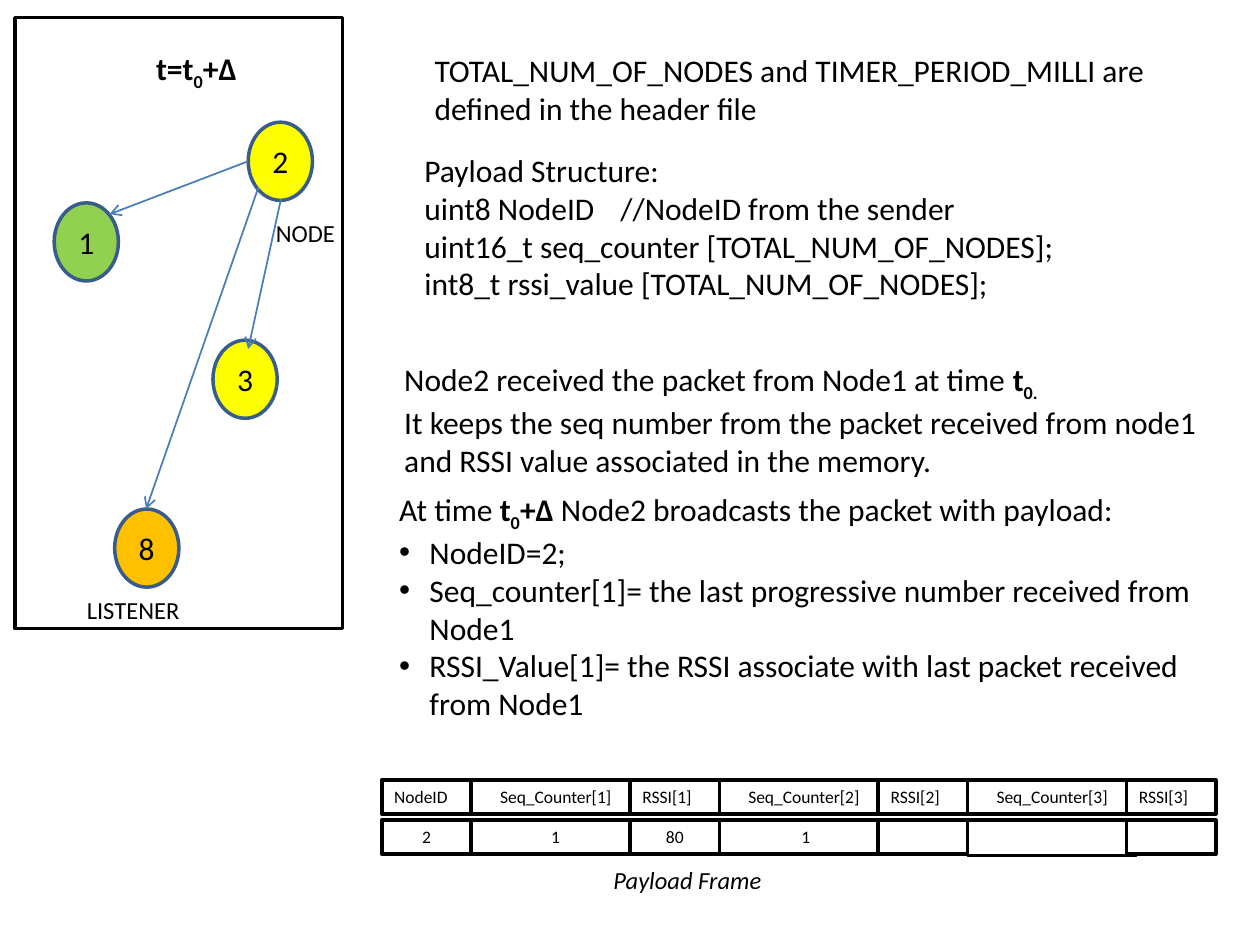
import pptx
import pptx.util
import pptx.dml.color
import pptx.enum.shapes
import pptx.enum.text
import pptx.oxml.ns
import lxml.etree

THEME = {
    "font": "Calibri", "body": 18, "label": 14, "cell": 10,
    "ink": "000000", "paper": "FFFFFF", "rim": "385D8A", "arrow": "4A7EBB",
    "green": "92D050", "yellow": "FFFF00", "orange": "FFC000",
    "outline": 2, "thin": 1,
}

# Content: places are (column, row, columns, rows) on a grid of 100 by 75
COLUMNS, ROWS = 100, 75
BOLD = {"bold": True}
SUB = {"bold": True, "sub": True}
DELAY = [("0", SUB), ("+Δ", BOLD)]

NOTES = [
    ((33.5, 3.6, 66.5, 7), [
        "TOTAL_NUM_OF_NODES and TIMER_PERIOD_MILLI are defined in the header file"]),
    ((32.7, 11.5, 65.4, 16), [
        "Payload Structure:",
        "uint8 NodeID\t //NodeID from the sender",
        "uint16_t seq_counter [TOTAL_NUM_OF_NODES];",
        "int8_t rssi_value [TOTAL_NUM_OF_NODES];"]),
    ((31.1, 28.1, 68.9, 10.4), [
        [("Node2 received the packet from Node1 at time ", {}), ("t", BOLD), ("0.", SUB)],
        "It keeps the seq number from the packet received from node1 "
        "and RSSI value associated in the memory."]),
    ((30.7, 38.4, 68.9, 19.4), [
        [("At time ", {}), ("t", BOLD), *DELAY,
         (" Node2 broadcasts the packet with payload:", {})],
        "• NodeID=2;",
        "• Seq_counter[1]= the last progressive number received from Node1",
        "• RSSI_Value[1]= the RSSI associate with last packet received from Node1"]),
]

PANEL = (1.2, 1.4, 26, 48.5)
PANEL_TITLE = ((11.4, 3.4, 8.9, 4.4), [[("t=t", BOLD), *DELAY]])
NODE_SIZE = (5.1, 6.2)
NODES = [("1", 4.3, 16.1, "green"), ("2", 19.7, 9.7, "yellow"),
         ("3", 16.9, 27, "yellow"), ("8", 9.1, 40.4, "orange")]
ARROWS = [((19.7, 12.8), (8.7, 17)), ((22.3, 15.8), (19.7, 27.7)),
          ((20.5, 14.9), (11.6, 40.4))]
LABELS = [((5.9, 46.7, 9.5, 3.4), "LISTENER", {}),
          ((20.9, 16.8, 7.1, 3.4), "NODE", {}),
          ((47.7, 68.2, 13.8, 3.4), "Payload Frame", {"italic": True, "wrap": False})]

FRAME_LEFT, FRAME_TOP, FRAME_STEP, FRAME_HEIGHT = 30.3, 61.9, 3.2, 2.7
NARROW, WIDE, OVERLAP = 7.1, 13.4, 0.8
FRAME = [
    ["NodeID", "Seq_Counter[1]", "RSSI[1]", "Seq_Counter[2]", "RSSI[2]",
     "Seq_Counter[3]", "RSSI[3]"],
    ["2", "1", "80", " 1", "", "", ""],
]

deck = pptx.Presentation()
deck.slide_width, deck.slide_height = pptx.util.Inches(10), pptx.util.Inches(7.5)
page = deck.slides.add_slide(deck.slide_layouts[6])


def across(columns):
    return round(deck.slide_width * columns / COLUMNS)


def down(rows):
    return round(deck.slide_height * rows / ROWS)


def area(place):
    left, top, width, height = place
    return across(left), down(top), across(width), down(height)


def color(name):
    return pptx.dml.color.RGBColor.from_string(THEME[name])


def add_bullet(para):
    properties = para._p.get_or_add_pPr()
    indent = pptx.util.Inches(0.24)
    properties.set("marL", str(indent))
    properties.set("indent", str(-indent))
    for tag, attribute, value in (("a:buFont", "typeface", "Arial"),
                                  ("a:buChar", "char", "•")):
        lxml.etree.SubElement(properties, pptx.oxml.ns.qn(tag)).set(attribute, value)


def write(box, paragraphs, size="body", align="LEFT", anchor="TOP",
          italic=False, wrap=True, grow=True):
    frame = box.text_frame
    frame.word_wrap = wrap
    frame.vertical_anchor = getattr(pptx.enum.text.MSO_ANCHOR, anchor)
    sizing = pptx.enum.text.MSO_AUTO_SIZE
    frame.auto_size = sizing.SHAPE_TO_FIT_TEXT if grow else sizing.NONE
    for index, content in enumerate(paragraphs):
        para = frame.add_paragraph() if index else frame.paragraphs[0]
        para.alignment = getattr(pptx.enum.text.PP_ALIGN, align)
        if isinstance(content, str):
            if content.startswith("• "):
                add_bullet(para)
                content = content[2:]
            content = [(content, {})]
        for text, style in content:
            span = para.add_run()
            span.text = text
            span.font.name = THEME["font"]
            span.font.size = pptx.util.Pt(THEME[size])
            span.font.color.rgb = color("ink")
            span.font.bold = style.get("bold", False)
            span.font.italic = italic
            if style.get("sub"):
                span.font._element.set("baseline", "-25000")


def add_text(place, paragraphs, **style):
    write(page.shapes.add_textbox(*area(place)), paragraphs, **style)


def add_box(kind, place, fill=None, line="ink"):
    preset = getattr(pptx.enum.shapes.MSO_SHAPE, kind)
    box = page.shapes.add_shape(preset, *area(place))
    box.shadow.inherit = False
    if fill:
        box.fill.solid()
        box.fill.fore_color.rgb = color(fill)
    else:
        box.fill.background()
    box.line.color.rgb = color(line)
    box.line.width = pptx.util.Pt(THEME["outline"])
    return box


def add_arrow(start, end):
    arrow = page.shapes.add_connector(
        pptx.enum.shapes.MSO_CONNECTOR.STRAIGHT,
        across(start[0]), down(start[1]), across(end[0]), down(end[1]))
    arrow.line.color.rgb = color("arrow")
    arrow.line.width = pptx.util.Pt(THEME["thin"])
    line = arrow.line._get_or_add_ln()
    lxml.etree.SubElement(line, pptx.oxml.ns.qn("a:tailEnd")).set("type", "arrow")
    lxml.etree.SubElement(arrow._element.spPr, pptx.oxml.ns.qn("a:effectLst"))


# Payload frame: wide fields run slightly under the next narrow one
for row, fields in enumerate(FRAME):
    left = FRAME_LEFT
    for column, field in enumerate(fields):
        is_wide = column % 2 == 1
        width = WIDE if is_wide else NARROW
        extra = 0.1 if row == 1 and column == 5 else 0
        cell = add_box("RECTANGLE", (left, FRAME_TOP + row * FRAME_STEP, width,
                                     FRAME_HEIGHT + extra), fill="paper")
        if field:
            write(cell, [field], size="cell",
                  align="CENTER" if is_wide or row else "LEFT")
        left += width - (OVERLAP if is_wide else 0)

# Explanations on the right
for place, paragraphs in NOTES:
    add_text(place, paragraphs)

# Network panel on the left
add_text(*PANEL_TITLE)
for name, left, top, fill in NODES:
    node = add_box("OVAL", (left, top, *NODE_SIZE), fill=fill, line="rim")
    write(node, [name], align="CENTER", anchor="MIDDLE", grow=False)
for start, end in ARROWS:
    add_arrow(start, end)
add_box("RECTANGLE", PANEL)

# Captions
for place, text, style in LABELS:
    add_text(place, [text], size="label", **style)

deck.save("out.pptx")
